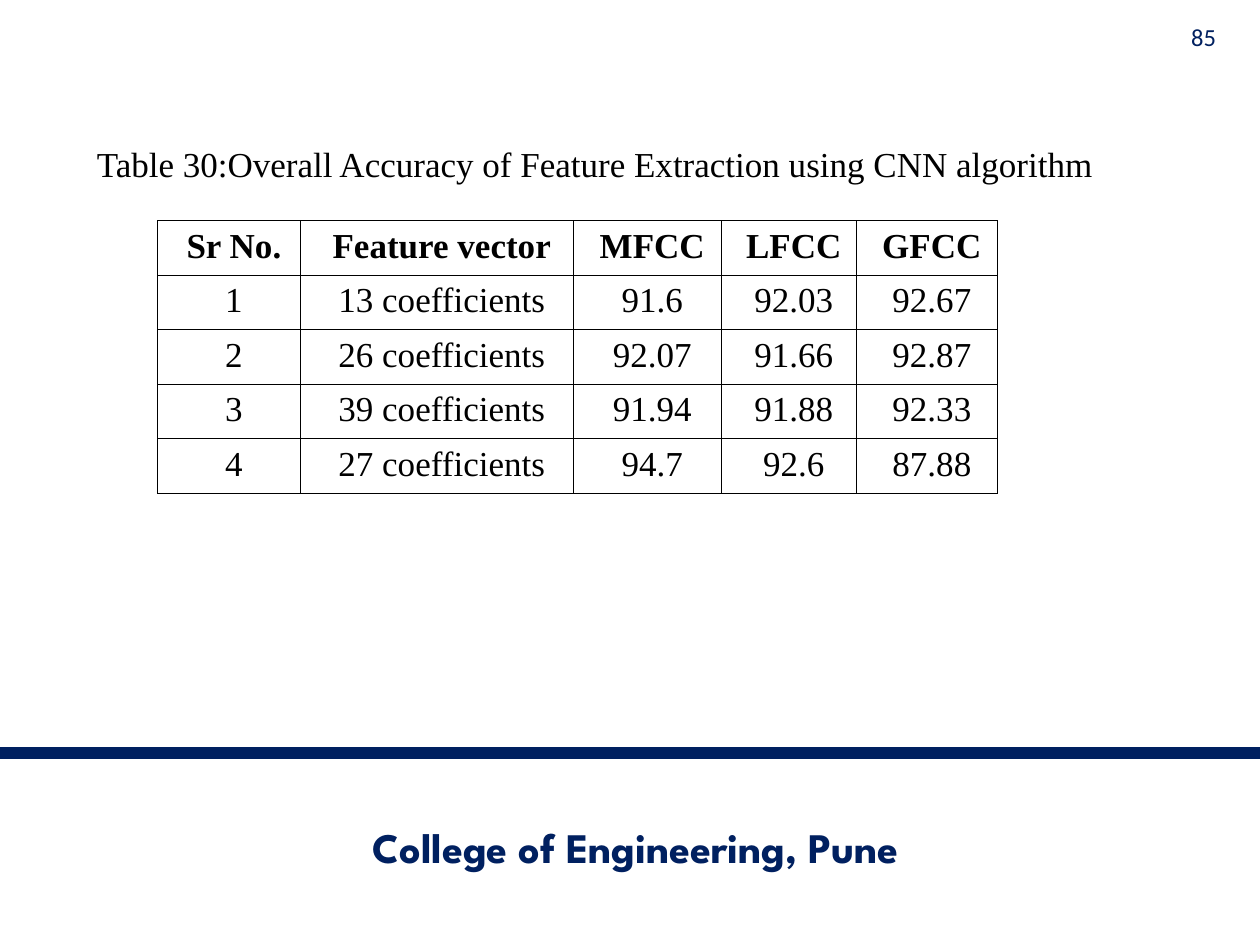
from dataclasses import dataclass

from lxml import etree
from pptx import Presentation
from pptx import util as u
from pptx.dml.color import RGBColor
from pptx.enum import shapes, text
from pptx.oxml import ns

COLORS = {"navy": "002060", "black": "000000", "white": "FFFFFF"}
SERIF = "Times New Roman"
COLUMN_WIDTHS = [81.6, 156, 84.6, 77.2, 80.6]
ROW_HEIGHT = 31.2
ROWS = [
    ["Sr No.", "Feature vector", "MFCC", "LFCC", "GFCC"],
    ["1", "13 coefficients", "91.6", "92.03", "92.67"],
    ["2", "26 coefficients", "92.07", "91.66", "92.87"],
    ["3", "39 coefficients", "91.94", "91.88", "92.33"],
    ["4", "27 coefficients", "94.7", "92.6", "87.88"],
]


@dataclass
class Label:
    words: str
    left: float
    top: float
    width: float
    height: float
    size: float
    font: str
    color: str
    align: text.PP_ALIGN
    anchor: text.MSO_ANCHOR
    bold: bool = False


LABELS = [
    Label("College of Engineering, Pune", 174.24, 469.44, 378, 28.8, 24, "League Spartan",
          "navy", text.PP_ALIGN.CENTER, text.MSO_ANCHOR.MIDDLE, True),
    Label("85", 666, 10.8, 36, 20.16, 14, "Calibri",
          "navy", text.PP_ALIGN.RIGHT, text.MSO_ANCHOR.MIDDLE),
    Label("Table 30:Overall Accuracy of Feature Extraction using CNN algorithm",
          48.24, 77.76, 600, 31.68, 20, SERIF,
          "black", text.PP_ALIGN.LEFT, text.MSO_ANCHOR.TOP),
]


def rgb(name: str) -> RGBColor:
    return RGBColor.from_string(COLORS[name])


def style(p, size: float, font: str, color: str, bold: bool) -> None:
    p.font.size = u.Pt(size)
    p.font.name = font
    p.font.bold = bold
    p.font.color.rgb = rgb(color)


def add_label(s, label: Label) -> None:
    sp = s.shapes.add_textbox(u.Pt(label.left), u.Pt(label.top),
                              u.Pt(label.width), u.Pt(label.height))
    tf = sp.text_frame
    tf.word_wrap = True
    tf.vertical_anchor = label.anchor
    p = tf.paragraphs[0]
    p.text = label.words
    p.alignment = label.align
    style(p, label.size, label.font, label.color, label.bold)


def add_rule(s, y: float, width: float, weight: float) -> None:
    rule = s.shapes.add_connector(shapes.MSO_CONNECTOR.STRAIGHT,
                                  u.Pt(0), u.Pt(y), u.Pt(width), u.Pt(y))
    rule.line.color.rgb = rgb("navy")
    rule.line.width = u.Pt(weight)
    etree.SubElement(rule._element.spPr, ns.qn("a:effectLst"))


def set_borders(cell, weight: float) -> None:
    tc_pr = cell._tc.get_or_add_tcPr()
    for side in ("lnL", "lnR", "lnT", "lnB"):
        ln = etree.SubElement(tc_pr, ns.qn(f"a:{side}"), w=str(int(u.Pt(weight))))
        fill = etree.SubElement(ln, ns.qn("a:solidFill"))
        etree.SubElement(fill, ns.qn("a:srgbClr"), val=COLORS["black"])


def add_accuracy_table(s, left: float, top: float) -> None:
    table = s.shapes.add_table(len(ROWS), len(COLUMN_WIDTHS), u.Pt(left), u.Pt(top),
                               u.Pt(sum(COLUMN_WIDTHS)), u.Pt(ROW_HEIGHT * len(ROWS))).table
    for column, width in zip(table.columns, COLUMN_WIDTHS):
        column.width = u.Pt(width)
    for i, values in enumerate(ROWS):
        table.rows[i].height = u.Pt(ROW_HEIGHT)
        for j, value in enumerate(values):
            cell = table.cell(i, j)
            set_borders(cell, 0.45)
            cell.fill.background()
            p = cell.text_frame.paragraphs[0]
            p.text = value
            p.alignment = text.PP_ALIGN.CENTER
            p._p.get_or_add_pPr().set("marL", str(int(u.Pt(5.76))))
            style(p, 20, SERIF, "black", i == 0)


def main() -> None:
    prs = Presentation()
    prs.slide_width = u.Pt(720)
    prs.slide_height = u.Pt(540)
    s = prs.slides.add_slide(prs.slide_layouts[6])
    s.background.fill.solid()
    s.background.fill.fore_color.rgb = rgb("white")
    add_rule(s, 430.4, 720, 6.5)
    add_accuracy_table(s, 90, 126)
    for label in LABELS:
        add_label(s, label)
    prs.save("out.pptx")


if __name__ == "__main__":
    main()
